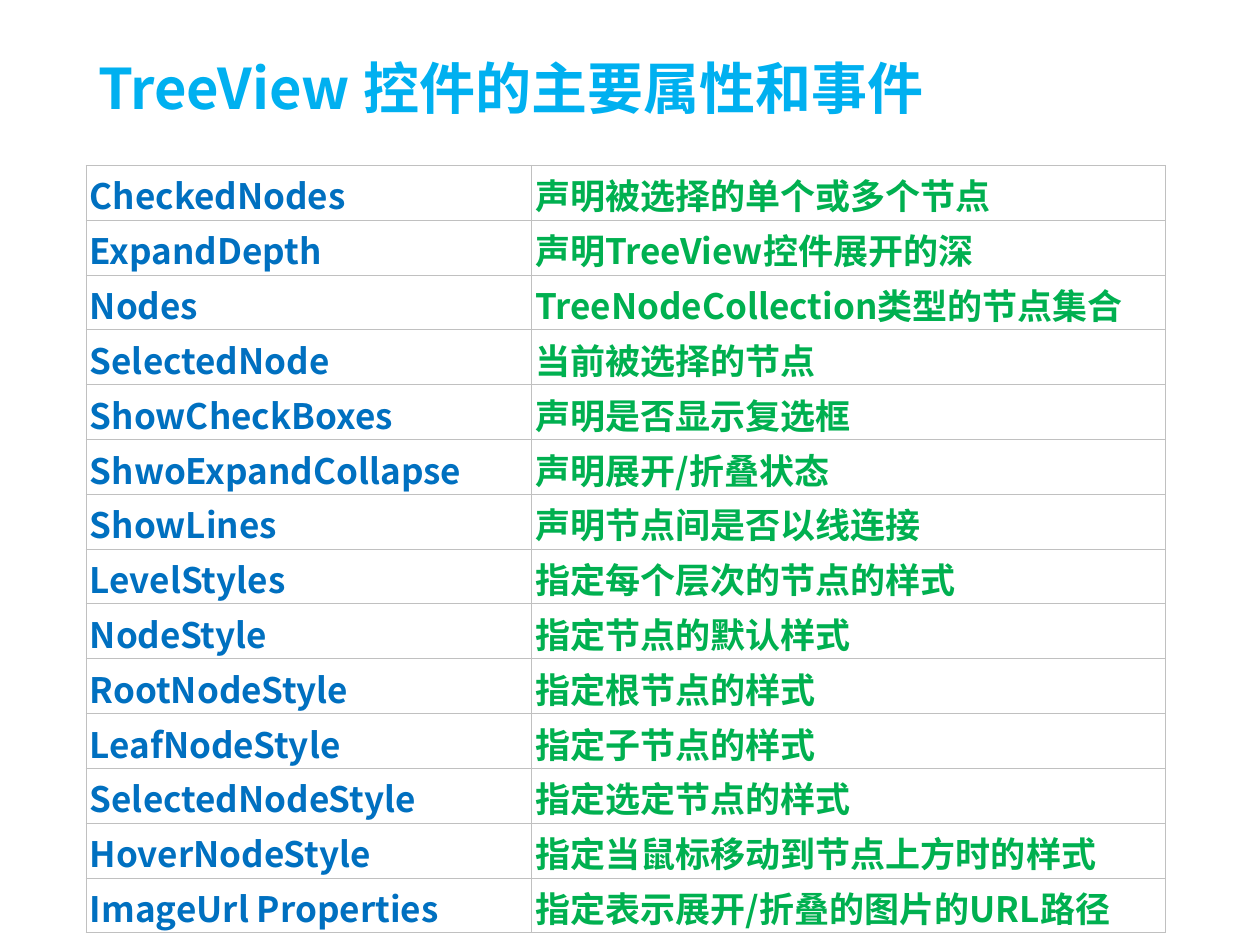
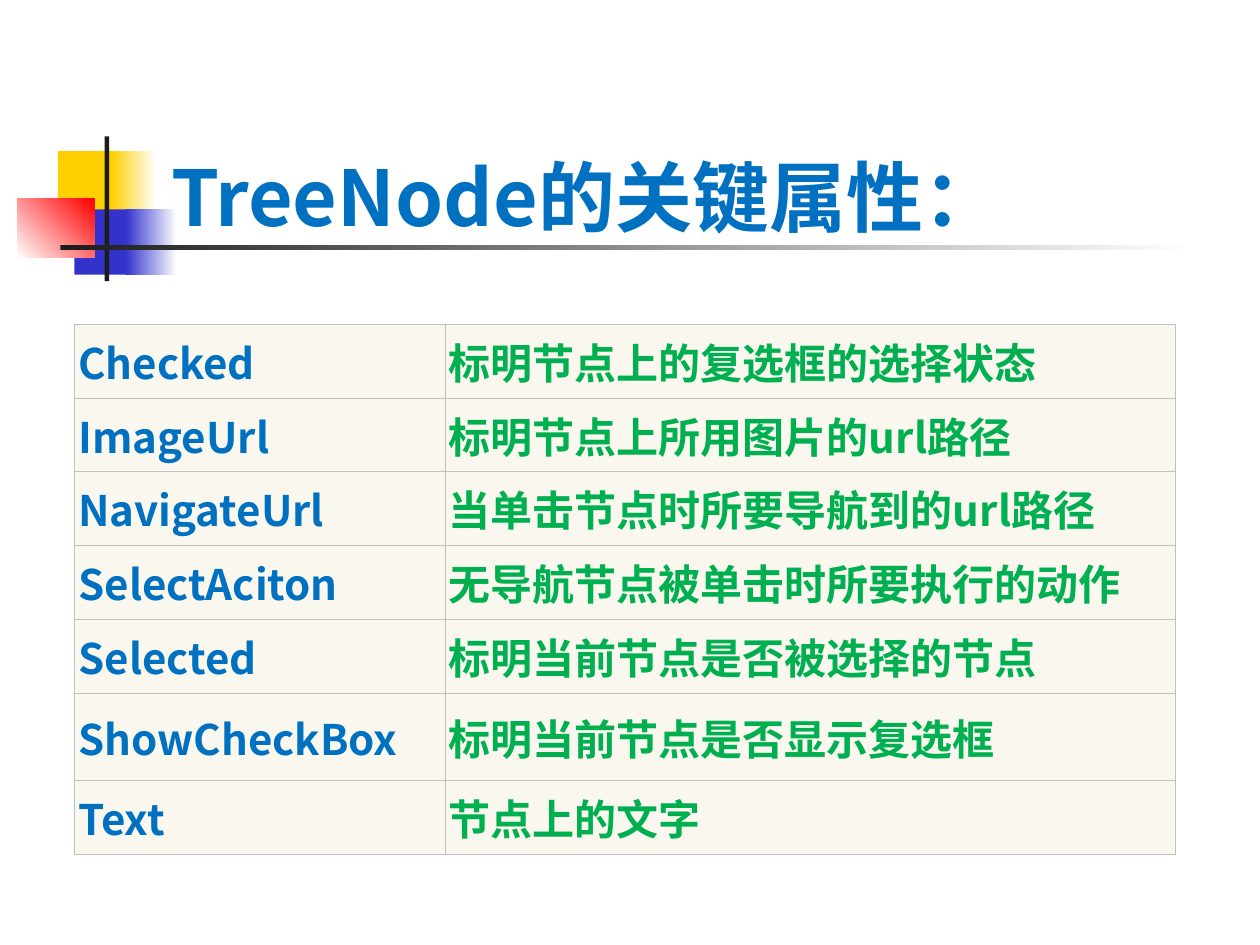
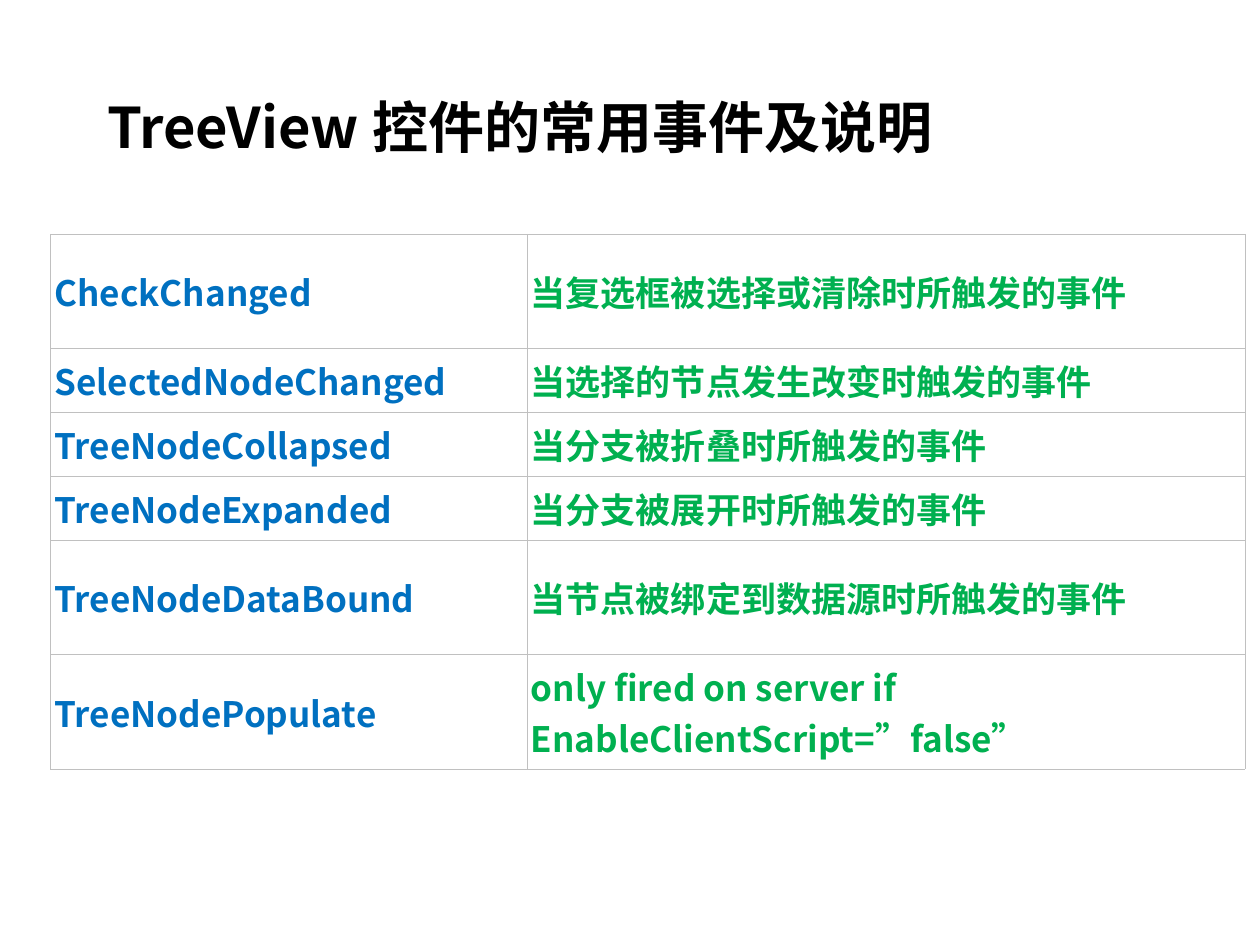
"""Build three slides on the TreeView control: properties, node attributes and events."""
from dataclasses import dataclass
from typing import NamedTuple

from lxml.etree import SubElement
from pptx import Presentation
from pptx.dml.color import RGBColor
from pptx.enum.shapes import MSO_SHAPE as Shape
from pptx.enum.text import MSO_ANCHOR as Anchor, MSO_AUTO_SIZE as AutoSize, PP_ALIGN as Align
from pptx.oxml.ns import qn
from pptx.util import Cm, Pt

FONT = "Noto Sans CJK SC"
COLORS = {
    "sky": "00B0F0", "blue": "0070C0", "green": "00B050", "black": "000000",
    "border": "C0C0C0", "cream": "FAF7EF", "white": "FFFFFF", "yellow": "FFCF01",
    "indigo": "3333CC", "red": "FF0000", "ink": "1C1C1C",
}
COLUMN_COLORS = ("blue", "green")
BORDER_WIDTH = Pt(0.34)


class Box(NamedTuple):
    left: float
    top: float
    width: float
    height: float


class Block(NamedTuple):
    box: Box
    colors: tuple[str, ...]
    angle: int = 0


@dataclass
class Title:
    text: str
    box: Box
    color: str
    size: int = 32
    anchor: Anchor = Anchor.TOP
    bottom: float = 0.13


@dataclass
class Grid:
    left: float
    top: float
    cols: tuple[float, float]
    heights: list[float]
    rows: list[tuple[str, str]]
    size: int = 20
    fill: str | None = None
    margins: tuple[float, float] = (0.13, 0.13)


@dataclass
class Page:
    title: Title
    grid: Grid
    blocks: tuple[Block, ...] = ()


ORNAMENT = (
    Block(Box(1.17, 3.05, 1.22, 1.32), ("yellow",)),
    Block(Box(2.24, 3.05, 0.91, 1.32), ("yellow", "white")),
    Block(Box(1.5, 4.22, 1.17, 1.32), ("indigo",)),
    Block(Box(2.54, 4.22, 1.02, 1.32), ("indigo", "white")),
    Block(Box(0.35, 4.01, 1.55, 1.18), ("white", "red"), 45),
    Block(Box(2.11, 2.75, 0.09, 2.92), ("ink",)),
    Block(Box(1.22, 4.94, 22.86, 0.1), ("ink", "white")),
)

PROPERTIES = [
    ("CheckedNodes", "声明被选择的单个或多个节点"),
    ("ExpandDepth", "声明TreeView控件展开的深"),
    ("Nodes", "TreeNodeCollection类型的节点集合"),
    ("SelectedNode", "当前被选择的节点"),
    ("ShowCheckBoxes", "声明是否显示复选框"),
    ("ShwoExpandCollapse", "声明展开/折叠状态"),
    ("ShowLines", "声明节点间是否以线连接"),
    ("LevelStyles", "指定每个层次的节点的样式"),
    ("NodeStyle", "指定节点的默认样式"),
    ("RootNodeStyle", "指定根节点的样式"),
    ("LeafNodeStyle", "指定子节点的样式"),
    ("SelectedNodeStyle", "指定选定节点的样式"),
    ("HoverNodeStyle", "指定当鼠标移动到节点上方时的样式"),
    ("ImageUrl Properties", "指定表示展开/折叠的图片的URL路径"),
]
NODE_ATTRIBUTES = [
    ("Checked", "标明节点上的复选框的选择状态"),
    ("ImageUrl", "标明节点上所用图片的url路径"),
    ("NavigateUrl", "当单击节点时所要导航到的url路径"),
    ("SelectAciton", "无导航节点被单击时所要执行的动作"),
    ("Selected", "标明当前节点是否被选择的节点"),
    ("ShowCheckBox", "标明当前节点是否显示复选框"),
    ("Text", "节点上的文字"),
]
EVENTS = [
    ("CheckChanged", "当复选框被选择或清除时所触发的事件"),
    ("SelectedNodeChanged", "当选择的节点发生改变时触发的事件"),
    ("TreeNodeCollapsed", "当分支被折叠时所触发的事件"),
    ("TreeNodeExpanded", "当分支被展开时所触发的事件"),
    ("TreeNodeDataBound", "当节点被绑定到数据源时所触发的事件"),
    ("TreeNodePopulate", "only fired on server if EnableClientScript=”false”"),
]

PAGES = (
    Page(
        Title("TreeView 控件的主要属性和事件", Box(1.73, 0.94, 22, 1.88), "sky"),
        Grid(1.73, 3.33, (8.98, 12.78), [1.1] * 14, PROPERTIES, margins=(0.08, 0)),
    ),
    Page(
        Title("TreeNode的关键属性：", Box(3.2, 1.7, 21.64, 3.18), "blue", 44, Anchor.BOTTOM, 0),
        Grid(1.5, 6.53, (7.47, 14.73), [1.49] * 5 + [1.75, 1.49], NODE_ATTRIBUTES, 24, "cream"),
        ORNAMENT,
    ),
    Page(
        Title("TreeView 控件的常用事件及说明", Box(1.91, 1.74, 22, 1.88), "black"),
        Grid(1.02, 4.72, (9.6, 14.48), [2.31] + [1.27] * 3 + [2.31] * 2, EVENTS),
    ),
)


def rgb(name: str) -> RGBColor:
    """Return the named palette colour."""
    return RGBColor.from_string(COLORS[name])


def assign(obj, values: dict) -> None:
    """Set every attribute in values on obj."""
    for name, value in values.items():
        setattr(obj, name, value)


def write(tf, text: str, size: int, color: str) -> None:
    """Write one bold left-aligned run."""
    p = tf.paragraphs[0]
    assign(p, {"alignment": Align.LEFT, "space_before": Pt(0), "line_spacing": 1.0})
    r = p.add_run()
    r.text = text
    assign(r.font, {"name": FONT, "size": Pt(size), "bold": True})
    r.font.color.rgb = rgb(color)
    SubElement(r.font._element, qn("a:ea"), typeface=FONT)


def draw_title(slide, title: Title) -> None:
    """Place and format the title placeholder in front of the ornament."""
    sp = slide.shapes.title
    assign(sp, {name: Cm(value) for name, value in title.box._asdict().items()})
    tf = sp.text_frame
    assign(tf, {
        "word_wrap": True, "auto_size": AutoSize.NONE, "vertical_anchor": title.anchor,
        "margin_left": Cm(0.25), "margin_right": Cm(0.25),
        "margin_top": Cm(0.13), "margin_bottom": Cm(title.bottom),
    })
    write(tf, title.text, title.size, title.color)
    slide.shapes._spTree.append(sp._element)


def draw_block(slide, block: Block) -> None:
    """Draw a rectangle with a solid or two-colour gradient fill."""
    sp = slide.shapes.add_shape(Shape.RECTANGLE, *map(Cm, block.box))
    sp.shadow.inherit = False
    sp.line.fill.background()
    if len(block.colors) == 1:
        sp.fill.solid()
        sp.fill.fore_color.rgb = rgb(block.colors[0])
        return
    sp.fill.gradient()
    sp.fill.gradient_angle = block.angle
    for stop, color in zip(sp.fill.gradient_stops, block.colors):
        stop.color.rgb = rgb(color)


def add_borders(cell) -> None:
    """Give a cell thin borders on all four sides."""
    tc_pr = cell._tc.get_or_add_tcPr()
    for i, side in enumerate(("lnL", "lnR", "lnT", "lnB")):
        ln = tc_pr.makeelement(qn(f"a:{side}"), {"w": str(int(BORDER_WIDTH))})
        fill = SubElement(ln, qn("a:solidFill"))
        SubElement(fill, qn("a:srgbClr"), val=COLORS["border"])
        tc_pr.insert(i, ln)


def draw_grid(slide, grid: Grid) -> None:
    """Draw a two-column table of names and explanations."""
    frame = slide.shapes.add_table(
        len(grid.rows), len(grid.cols), Cm(grid.left), Cm(grid.top),
        Cm(sum(grid.cols)), Cm(sum(grid.heights)))
    table = frame.table
    assign(table, {"first_row": False, "horz_banding": False})
    for col, width in zip(table.columns, grid.cols):
        col.width = Cm(width)
    top, bottom = map(Cm, grid.margins)
    for row, height, texts in zip(table.rows, grid.heights, grid.rows):
        row.height = Cm(height)
        for cell, text, color in zip(row.cells, texts, COLUMN_COLORS):
            assign(cell, {
                "vertical_anchor": Anchor.MIDDLE, "margin_left": Cm(0.08),
                "margin_right": Cm(0.08), "margin_top": top, "margin_bottom": bottom,
            })
            if grid.fill:
                cell.fill.solid()
                cell.fill.fore_color.rgb = rgb(grid.fill)
            else:
                cell.fill.background()
            add_borders(cell)
            write(cell.text_frame, text, grid.size, color)


def main() -> None:
    """Build and save the presentation."""
    prs = Presentation()
    assign(prs, {"slide_width": Cm(25.4), "slide_height": Cm(19.05)})
    for page in PAGES:
        slide = prs.slides.add_slide(prs.slide_layouts[5])
        for block in page.blocks:
            draw_block(slide, block)
        draw_title(slide, page.title)
        draw_grid(slide, page.grid)
    prs.save("out.pptx")


if __name__ == "__main__":
    main()
